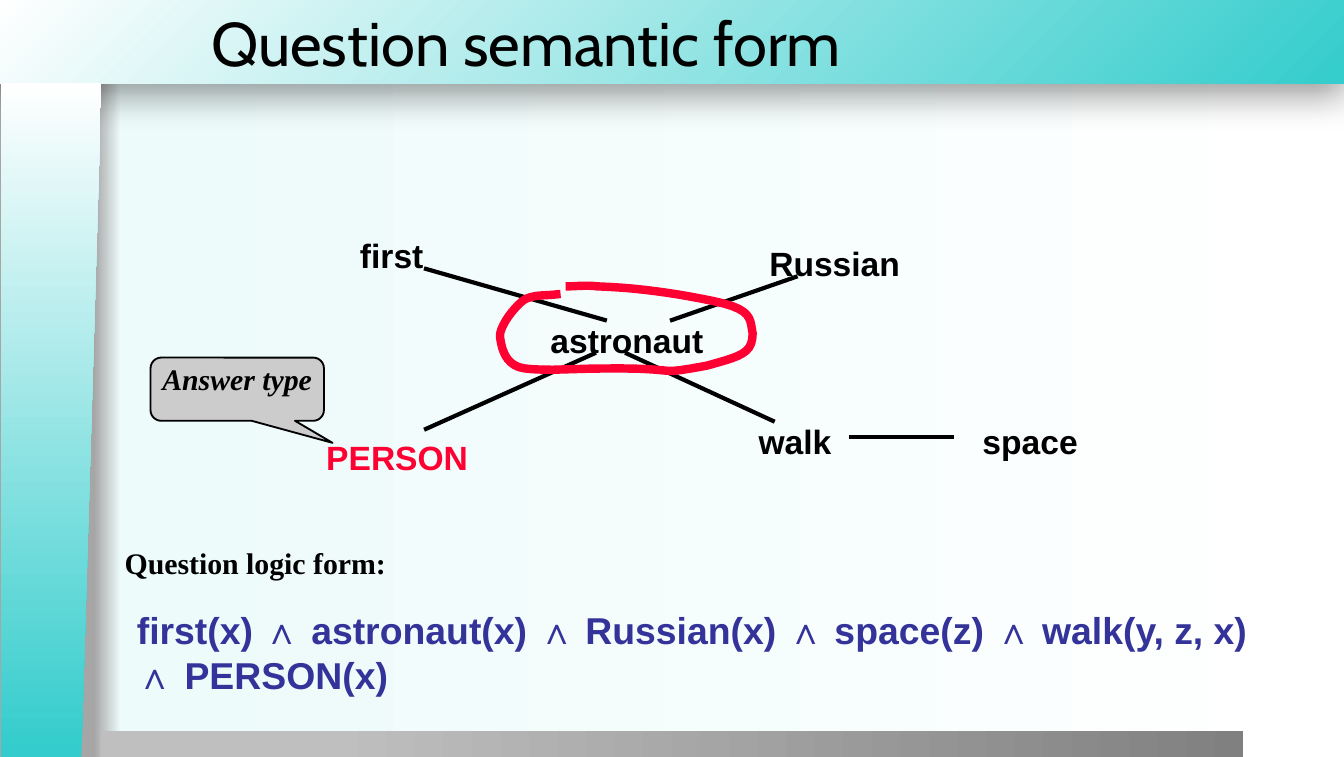
from pptx import Presentation
from pptx import util as u
from pptx.dml.color import RGBColor
from pptx.enum import shapes, text
from pptx.oxml import parse_xml
from pptx.oxml.ns import nsdecls, qn

PX = 9144  # EMU per px: 100 px to the inch
COLORS = {
    "teal": "34CCCC", "white": "FFFFFF", "mist": "EDFBFB", "edge": "A6A6A6",
    "silver": "BFBFBF", "gray": "808080", "black": "000000",
    "red": "FF0033", "navy": "333399", "callout": "CCCCCC",
}
LINEAR = '<a:lin ang="0" scaled="0"/>'
FROM_CORNER = '<a:path path="circle"><a:fillToRect l="100000" t="100000"/></a:path>'

# word: (left, top, width, colour)
WORDS = {
    "astronaut": (408, 238, 117, "black"),
    "walk": (558, 313, 67, "black"),
    "space": (725, 313, 83, "black"),
    "Russian": (567, 181, 108, "black"),
    "first": (258, 175, 67, "black"),
    "PERSON": (233, 325, 125, "red"),
}
WORD_HEIGHT = 25
LINKS = [
    (317, 319, 442, 263),
    (500, 238, 592, 206),
    (633, 325, 708, 325),
    (317, 200, 450, 238),
]
WALK_LINK = (575, 313, 467, 263)
PREDICATES = ["first(x)", "astronaut(x)", "Russian(x)", "space(z)", "walk(y, z, x)", "PERSON(x)"]

# Hand-drawn ring: a start point, then two controls and an end for each curve
RING_START = (414, 219)
RING_CURVES = [
    ((406, 220), (397, 219), (390, 223)),
    ((383, 228), (372, 242), (372, 250)),
    ((373, 259), (376, 272), (390, 274)),
    ((398, 275), (405, 275), (412, 275)),
    ((522, 271), (477, 281), (526, 272)),
    ((551, 265), (560, 263), (560, 248)),
    ((558, 237), (560, 230), (531, 224)),
    ((502, 218), (474, 214), (444, 213)),
    ((438, 212), (427, 213), (424, 213)),
]


def px(*lengths):
    return [u.Emu(round(length * PX)) for length in lengths]


def rgb(name):
    return RGBColor.from_string(COLORS[name])


def set_gradient(fill, owner, stops, direction=LINEAR):
    """Fill with (percent, colour) stops; owner is the XML element holding the fill."""
    fill.gradient()
    default = next(owner.iter(qn("a:gradFill")))
    marks = "".join(
        f'<a:gs pos="{percent * 1000}"><a:srgbClr val="{COLORS[color]}"/></a:gs>'
        for percent, color in stops)
    default.getparent().replace(default, parse_xml(
        f'<a:gradFill {nsdecls("a")} rotWithShape="1">'
        f'<a:gsLst>{marks}</a:gsLst>{direction}</a:gradFill>'))


def set_stroke(shape, color, width, square_ends=False):
    shape.line.color.rgb = rgb(color)
    shape.line.width = u.Pt(width)
    if square_ends:
        shape._element.spPr.find(qn("a:ln")).set("cap", "sq")


def add_band(slide, kind, box, stops, direction=LINEAR):
    band = slide.shapes.add_shape(kind, *px(*box))
    band.shadow.inherit = False
    band.line.fill.background()
    set_gradient(band.fill, band._element.spPr, stops, direction)
    return band


def add_run(paragraph, words, font, size, color, bold=True, italic=False):
    run = paragraph.add_run()
    run.text = words
    run.font.name, run.font.size = font, u.Pt(size)
    run.font.bold, run.font.italic = bold, italic
    run.font.color.rgb = rgb(color)


def clear_margins(frame):
    frame.margin_left = frame.margin_top = frame.margin_right = frame.margin_bottom = 0


def add_text_box(slide, box):
    label = slide.shapes.add_textbox(*px(*box))
    label.text_frame.word_wrap = True
    label.text_frame.auto_size = text.MSO_AUTO_SIZE.SHAPE_TO_FIT_TEXT
    return label


def add_word(slide, word, left, top, width, color):
    label = add_text_box(slide, (left, top, width, WORD_HEIGHT))
    clear_margins(label.text_frame)
    paragraph = label.text_frame.paragraphs[0]
    paragraph.alignment = text.PP_ALIGN.CENTER
    add_run(paragraph, word, "Arial", 18, color)
    return label


def add_link(slide, ends):
    link = slide.shapes.add_connector(shapes.MSO_CONNECTOR.STRAIGHT, *px(*ends))
    set_stroke(link, "black", 2.25, square_ends=True)
    link._element.spPr.append(parse_xml(f'<a:effectLst {nsdecls("a")}/>'))
    return link


def curve_points(start, curves, steps=10):
    """Sample a chain of cubic Bézier curves."""
    points = []
    for c1, c2, end in curves:
        for step in range(1, steps + 1):
            t = step / steps
            s = 1 - t
            points.append(tuple(
                s**3 * a + 3 * s * s * t * b + 3 * s * t * t * c + t**3 * d
                for a, b, c, d in zip(start, c1, c2, end)))
        start = end
    return points


def add_ring(slide):
    builder = slide.shapes.build_freeform(*px(*RING_START))
    builder.add_line_segments(
        [px(*point) for point in curve_points(RING_START, RING_CURVES)], close=False)
    ring = builder.convert_to_shape()
    ring.shadow.inherit = False
    ring.fill.background()
    set_stroke(ring, "red", 4.5, square_ends=True)


def add_callout(slide):
    callout = slide.shapes.add_shape(
        shapes.MSO_SHAPE.ROUNDED_RECTANGULAR_CALLOUT, *px(112, 266, 129, 47))
    callout.shadow.inherit = False
    for index, value in enumerate((0.55, 0.85, 0.17)):
        callout.adjustments[index] = value
    callout.fill.solid()
    callout.fill.fore_color.rgb = rgb("callout")
    set_stroke(callout, "black", 1)
    frame = callout.text_frame
    clear_margins(frame)
    frame.vertical_anchor = text.MSO_ANCHOR.TOP
    frame.paragraphs[0].alignment = text.PP_ALIGN.CENTER
    add_run(frame.paragraphs[0], "Answer type", "Times New Roman", 16, "black", italic=True)


def add_theme(slide):
    set_gradient(slide.background.fill, slide._element,
                 [(7, "edge"), (9, "mist"), (100, "white")])
    kinds = shapes.MSO_SHAPE
    header = add_band(slide, kinds.RECTANGLE, (-1, 0, 1001, 62),
                      [(0, "teal"), (100, "white")], FROM_CORNER)
    header._element.spPr.find(qn("a:effectLst")).append(parse_xml(
        f'<a:outerShdw {nsdecls("a")} blurRad="{u.Pt(20)}" dist="{u.Pt(6)}" dir="5400000">'
        f'<a:srgbClr val="{COLORS["black"]}"><a:alpha val="40000"/></a:srgbClr></a:outerShdw>'))
    add_band(slide, kinds.RECTANGLE, (75, 544, 850, 20), [(20, "silver"), (100, "gray")])
    side = add_band(slide, kinds.FLOWCHART_MANUAL_INPUT, (-213, 275, 502, 75),
                    [(1, "teal"), (100, "white")])
    side.rotation = 270
    side._element.spPr.xfrm.set("flipV", "1")


def set_title(slide):
    title = slide.shapes.title
    title.left, title.top, title.width, title.height = px(147, 0, 853, 62)
    slide.shapes._spTree.append(title._element)  # in front of the header band
    frame = title.text_frame
    frame.auto_size = text.MSO_AUTO_SIZE.NONE
    frame.vertical_anchor = text.MSO_ANCHOR.MIDDLE
    frame.paragraphs[0].alignment = text.PP_ALIGN.LEFT
    add_run(frame.paragraphs[0], "Question semantic form", "Cabin", 33, "black", bold=False)


def add_logic_form(slide):
    formula = add_text_box(slide, (92, 447, 850, 77)).text_frame.paragraphs[0]
    add_run(formula, " ∧ ".join(PREDICATES), "Arial", 20, "navy")
    heading = add_text_box(slide, (83, 400, 600, 38)).text_frame.paragraphs[0]
    add_run(heading, "Question logic form:", "Times New Roman", 16, "black")


def main():
    deck = Presentation()
    deck.slide_width, deck.slide_height = px(1000, 563)
    slide = deck.slides.add_slide(deck.slide_layouts[5])
    add_theme(slide)
    set_title(slide)
    words = {word: add_word(slide, word, *place) for word, place in WORDS.items()}
    for ends in LINKS:
        add_link(slide, ends)
    add_link(slide, WALK_LINK).end_connect(words["astronaut"], 2)
    add_logic_form(slide)
    add_ring(slide)
    add_callout(slide)
    deck.save("out.pptx")


if __name__ == "__main__":
    main()
